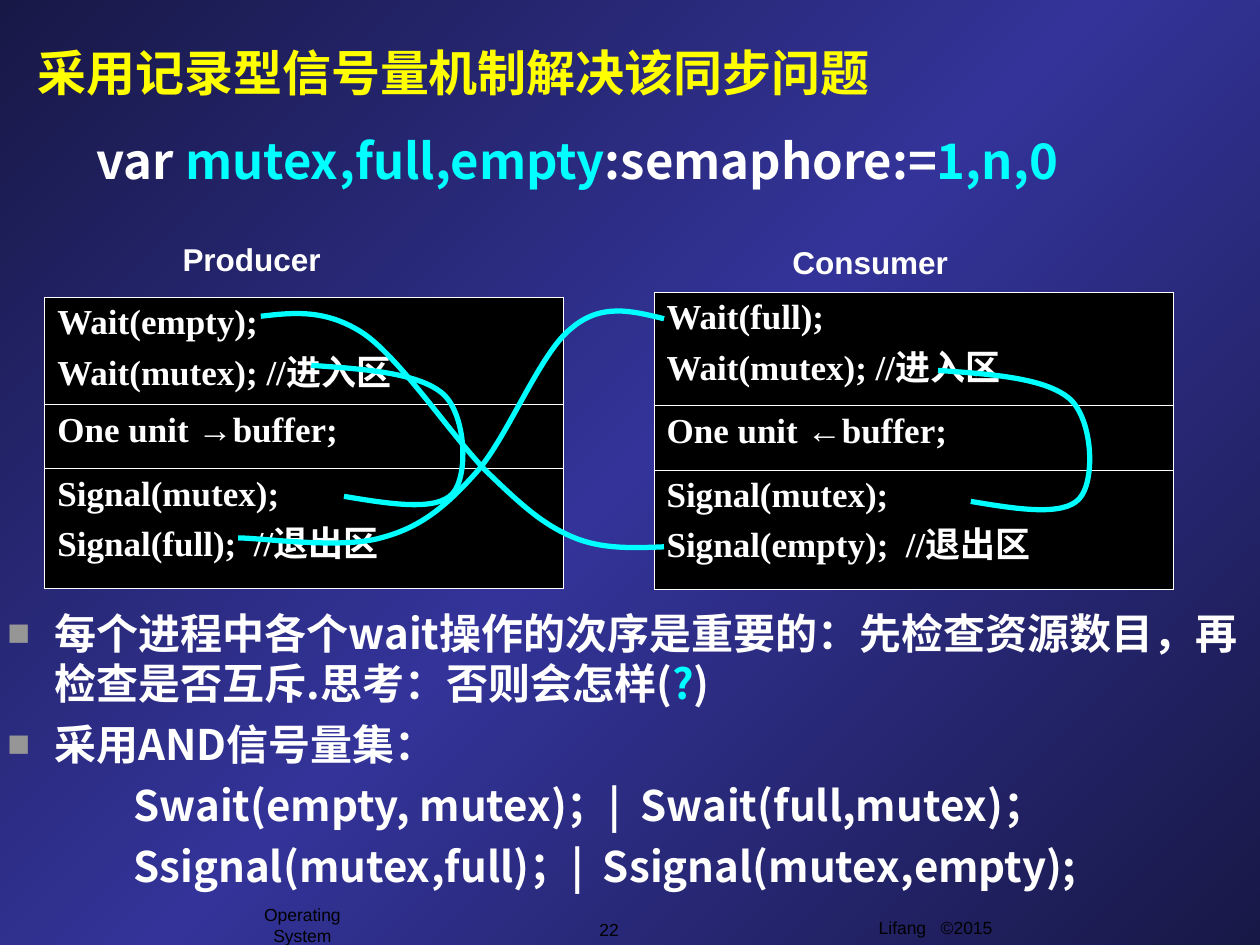
from dataclasses import dataclass
from typing import NamedTuple

from lxml.etree import SubElement
from pptx import Presentation
from pptx.dml.color import RGBColor
from pptx.enum.text import MSO_ANCHOR, PP_ALIGN
from pptx.oxml.ns import qn
from pptx.util import Emu, Inches, Pt

WIDTH, HEIGHT = Inches(10), Inches(7.5)
COLUMN, ROW = WIDTH // 100, HEIGHT // 75


@dataclass(frozen=True)
class Theme:
    white: str = "FFFFFF"
    black: str = "000000"
    cyan: str = "00FFFF"
    yellow: str = "FFFF00"
    bullet: str = "969696"
    edge: str = "181847"
    middle: str = "333399"
    sans: str = "Arial"
    serif: str = "Times New Roman"
    chinese: str = "Noto Sans CJK SC"
    heading: int = 28
    body: int = 24
    code: int = 20
    label: int = 18
    footer: int = 10
    border: float = 0.45
    curve: float = 3


THEME = Theme()


class Box(NamedTuple):
    """A place on the grid, in columns and rows."""
    left: float
    top: float
    width: float
    height: float

    def lengths(self) -> list[Emu]:
        return [Emu(round(value * unit)) for value, unit in zip(self, (COLUMN, ROW, COLUMN, ROW))]


class Style(NamedTuple):
    font: str
    size: int
    color: str = THEME.white
    bold: bool = True


class Span(NamedTuple):
    text: str
    style: Style


class Process(NamedTuple):
    name: str
    label: Box
    table: Box
    rows: tuple[float, ...]
    wait: str
    arrow: str
    signal: str
    loop_offset: tuple[float, float]


HEADING = Style(THEME.chinese, THEME.heading)
BODY = Style(THEME.chinese, THEME.body)
CODE = Style(THEME.serif, THEME.code)
LABEL = Style(THEME.sans, THEME.label)
FOOTER = Style(THEME.sans, THEME.footer, THEME.black, False)

PROCESSES = (
    Process("Producer", Box(3.5, 18.6, 41.2, 4), Box(3.55, 23.6, 41.2, 23.1),
            (8.5, 5.1, 9.5), "empty", "→", "full", (0, 0)),
    Process("Consumer", Box(51.9, 18.8, 41.2, 4), Box(51.9, 23.2, 41.2, 23.6),
            (9, 5.1, 9.5), "full", "←", "empty", (49.75, 0.4)),
)
FOOTERS = (
    (Box(58.4, 72.3, 31.7, 3.5), "Lifang   ©2015", MSO_ANCHOR.TOP),
    (Box(44.2, 72.4, 8.3, 2.7), "22", MSO_ANCHOR.MIDDLE),
    (Box(17.5, 72.1, 13, 2.7), "Operating System", MSO_ANCHOR.MIDDLE),
)
MUTEX_LOOP = ((24.7, 29), (29, 29.3), (33.3, 29.6), (35.2, 31.3), (37, 33), (37.2, 37.8),
              (35.9, 39.2), (34.6, 40.6), (30.9, 40), (27.3, 39.4))
EMPTY_LINK = ((20.7, 25.1), (23.3, 24.8), (25.9, 24.5), (28.9, 26.5), (31.9, 28.6),
              (36, 34.8), (38.7, 37.5), (41.5, 40.2), (43.1, 41.6), (45.4, 42.6),
              (47.7, 43.6), (50.2, 43.5), (52.7, 43.4))
FULL_LINK = ((52.7, 25.3), (50.2, 24.7), (47.7, 24), (45.3, 26.1), (42.8, 28.1),
             (40.3, 34.7), (37.8, 37.5), (35.3, 40.3), (33.3, 41.9), (30.2, 42.7),
             (27, 43.6), (20.8, 42.7), (18.9, 42.7))


def paint_background(slide) -> None:
    slide.background.fill.gradient()
    gradient = slide.element.find(".//" + qn("a:gradFill"))
    for child in list(gradient):
        gradient.remove(child)
    stops = SubElement(gradient, qn("a:gsLst"))
    for position, color in ((0, THEME.edge), (50, THEME.middle), (100, THEME.edge)):
        stop = SubElement(stops, qn("a:gs"), pos=str(position * 1000))
        SubElement(stop, qn("a:srgbClr"), val=color)
    SubElement(gradient, qn("a:lin"), ang=str(45 * 60000), scaled="0")


def add_spans(paragraph, *spans: Span) -> None:
    for span in spans:
        run = paragraph.add_run()
        run.text = span.text
        font = run.font
        font.name, font.size, font.bold = span.style.font, Pt(span.style.size), span.style.bold
        font.color.rgb = RGBColor.from_string(span.style.color)
        SubElement(run._r.get_or_add_rPr(), qn("a:ea"), typeface=THEME.chinese)


def indent(paragraph, left: float, first: float = 0) -> None:
    properties = paragraph._p.get_or_add_pPr()
    properties.set("marL", str(round(left * COLUMN)))
    properties.set("indent", str(round(first * COLUMN)))


def add_bullet(paragraph) -> None:
    properties = paragraph._p.get_or_add_pPr()
    color = SubElement(properties, qn("a:buClr"))
    SubElement(color, qn("a:srgbClr"), val=THEME.bullet)
    SubElement(properties, qn("a:buSzPct"), val="90000")
    SubElement(properties, qn("a:buFont"), typeface=THEME.sans)
    SubElement(properties, qn("a:buChar"), char="■")


def add_text(slide, box: Box, *spans: Span, anchor=MSO_ANCHOR.TOP, align=PP_ALIGN.LEFT):
    """Add a wrapped text box and return its text frame."""
    frame = slide.shapes.add_textbox(*box.lengths()).text_frame
    frame.word_wrap, frame.vertical_anchor = True, anchor
    frame.paragraphs[0].alignment = align
    add_spans(frame.paragraphs[0], *spans)
    return frame


def add_body(slide) -> None:
    items = (
        (True, (Span("每个进程中各个wait操作的次序是重要的：先检查资源数目，再检查是否互斥.思考：否则会怎样(", BODY),
                Span("?", BODY._replace(color=THEME.cyan)), Span(")", BODY))),
        (True, (Span("采用AND信号量集：", BODY),)),
        (False, (Span("Swait(empty, mutex)；|  Swait(full,mutex)；", BODY),)),
        (False, (Span("Ssignal(mutex,full)；|  Ssignal(mutex,empty);", BODY),)),
    )
    frame = add_text(slide, Box(-0.4, 47.7, 100, 25.2))
    for index, (bulleted, spans) in enumerate(items):
        paragraph = frame.add_paragraph() if index else frame.paragraphs[0]
        if index:
            paragraph.space_before = Pt(6)
        if bulleted:
            indent(paragraph, 3.75, -3.75)
            add_bullet(paragraph)
        else:
            indent(paragraph, 12.5, -2.5)
        add_spans(paragraph, *spans)


def style_cell(cell) -> None:
    properties = cell._tc.get_or_add_tcPr()
    for side in ("a:lnL", "a:lnR", "a:lnT", "a:lnB"):
        border = SubElement(properties, qn(side), w=str(Pt(THEME.border)))
        fill = SubElement(border, qn("a:solidFill"))
        SubElement(fill, qn("a:srgbClr"), val=THEME.white)
    cell.fill.solid()
    cell.fill.fore_color.rgb = RGBColor.from_string(THEME.black)


def add_process(slide, process: Process) -> None:
    label = add_text(slide, process.label, Span(process.name, LABEL))
    indent(label.paragraphs[0], 10)
    table = slide.shapes.add_table(len(process.rows), 1, *process.table.lengths()).table
    table.first_row = table.horz_banding = False
    code = (
        ((f"Wait({process.wait});",), ("Wait(mutex); //进入区",)),
        (("One unit ", process.arrow, "buffer;"),),
        (("Signal(mutex);",), (f"Signal({process.signal});  //退出区",)),
    )
    for index, (height, lines) in enumerate(zip(process.rows, code)):
        table.rows[index].height = Emu(round(height * ROW))
        cell = table.cell(index, 0)
        style_cell(cell)
        for number, line in enumerate(lines):
            paragraph = cell.text_frame.add_paragraph() if number else cell.text_frame.paragraphs[0]
            if number:
                paragraph.space_before = Pt(1.2)
            add_spans(paragraph, *(
                Span(text, CODE._replace(font=THEME.sans) if text == process.arrow else CODE)
                for text in line))


def add_curve(slide, points, offset: tuple[float, float] = (0, 0)) -> None:
    """Draw a chain of cubic curves: a start, then two controls and an end for each."""
    start, *rest = [(round((x + offset[0]) * COLUMN), round((y + offset[1]) * ROW)) for x, y in points]
    builder = slide.shapes.build_freeform(*start)
    builder.add_line_segments(rest, close=False)
    shape = builder.convert_to_shape()
    shape.shadow.inherit = False
    shape.fill.background()
    shape.line.color.rgb = RGBColor.from_string(THEME.cyan)
    shape.line.width = Pt(THEME.curve)
    outline = shape._element.find(".//" + qn("a:path"))
    segments = outline.findall(qn("a:lnTo"))
    for index in range(0, len(segments), 3):
        cubic = SubElement(outline, qn("a:cubicBezTo"))
        for segment in segments[index:index + 3]:
            cubic.append(segment[0])
            outline.remove(segment)


def main() -> None:
    presentation = Presentation()
    presentation.slide_width, presentation.slide_height = WIDTH, HEIGHT
    slide = presentation.slides.add_slide(presentation.slide_layouts[6])
    paint_background(slide)
    for box, text, anchor in FOOTERS:
        add_text(slide, box, Span(text, FOOTER), anchor=anchor, align=PP_ALIGN.CENTER)
    add_body(slide)
    for process in PROCESSES:
        add_process(slide, process)
    for process in PROCESSES:
        add_curve(slide, MUTEX_LOOP, process.loop_offset)
    cyan = HEADING._replace(color=THEME.cyan)
    add_text(slide, Box(6.7, 9.9, 84.3, 10.4), Span("var ", HEADING), Span("mutex,full,empty", cyan),
             Span(":semaphore:=", HEADING), Span("1,n,0", cyan))
    add_text(slide, Box(2, 3.6, 85, 4.2),
             Span("采用记录型信号量机制解决该同步问题", HEADING._replace(color=THEME.yellow)),
             anchor=MSO_ANCHOR.MIDDLE)
    for link in (EMPTY_LINK, FULL_LINK):
        add_curve(slide, link)
    presentation.save("out.pptx")


if __name__ == "__main__":
    main()
